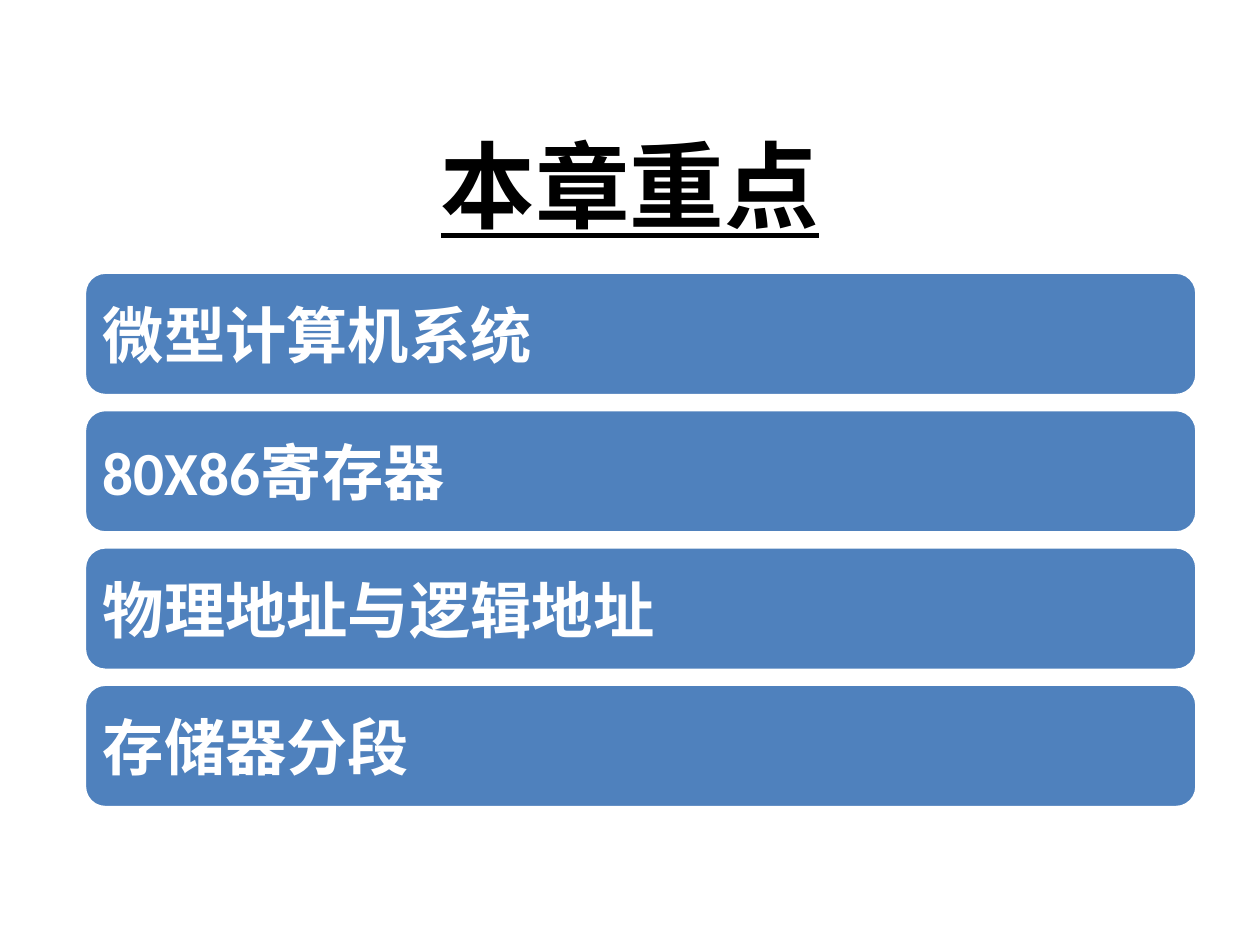
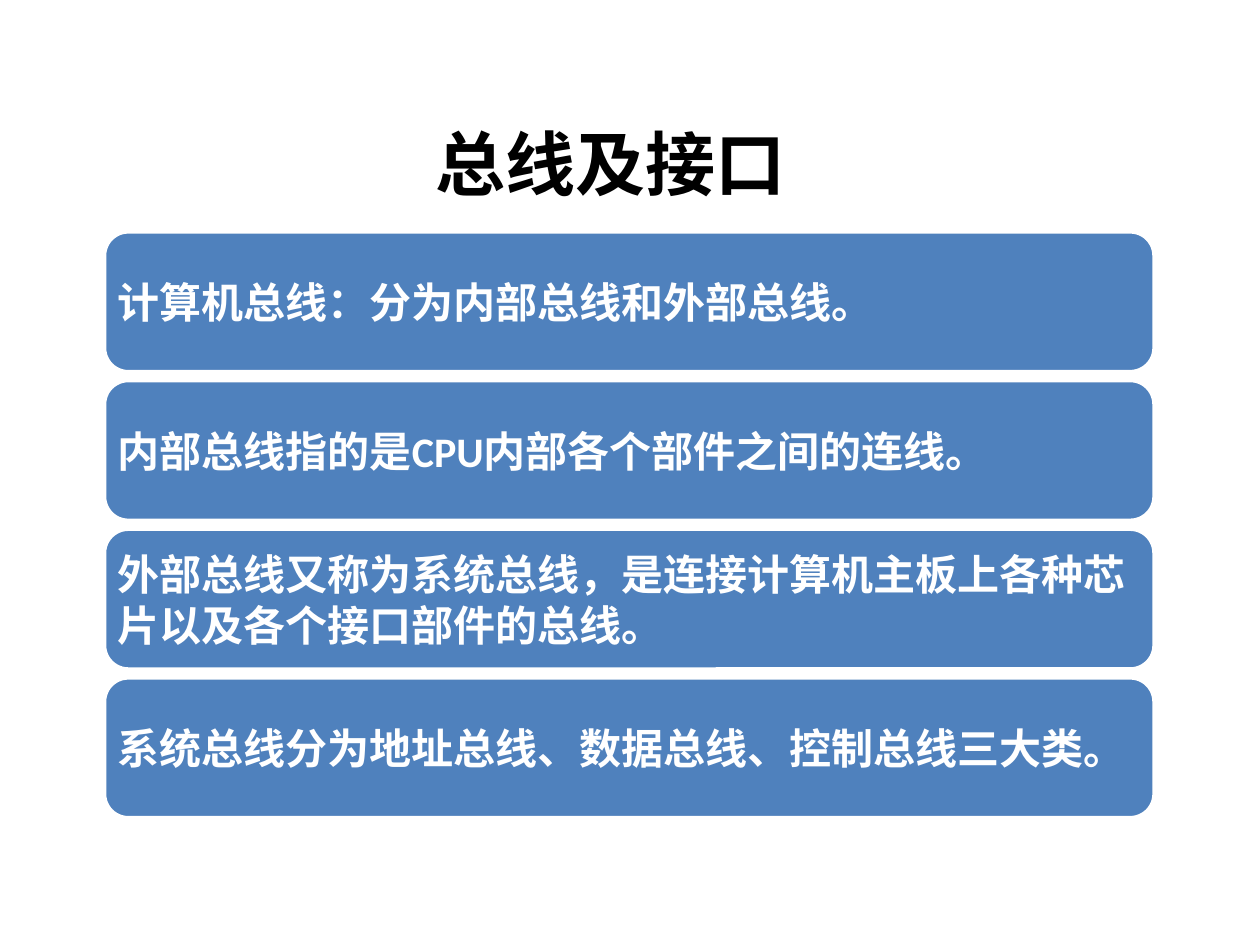
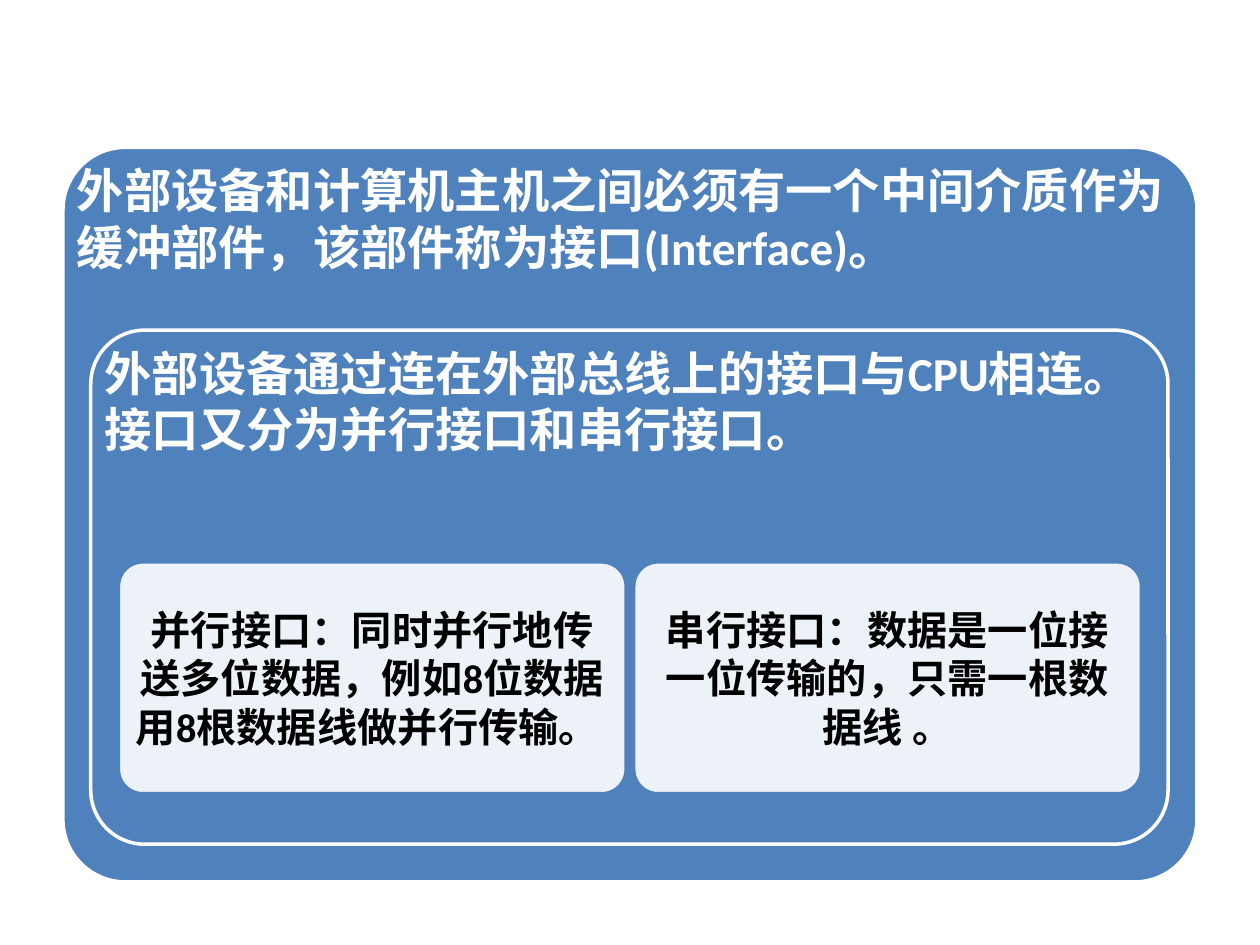
from dataclasses import dataclass

from lxml import etree
from pptx import Presentation
from pptx.dml.color import RGBColor
from pptx.enum.shapes import MSO_SHAPE
from pptx.enum.text import MSO_ANCHOR, PP_ALIGN
from pptx.oxml.ns import qn
from pptx.util import Inches, Pt

ROUNDED = MSO_SHAPE.ROUNDED_RECTANGLE
LEFT, CENTER = PP_ALIGN.LEFT, PP_ALIGN.CENTER
TOP, MIDDLE = MSO_ANCHOR.TOP, MSO_ANCHOR.MIDDLE
TITLE_ONLY, BLANK = 5, 6


@dataclass(frozen=True)
class Theme:
    blue: RGBColor = RGBColor(0x4F, 0x81, 0xBD)
    white: RGBColor = RGBColor(0xFF, 0xFF, 0xFF)
    black: RGBColor = RGBColor(0x00, 0x00, 0x00)
    font: str = "Calibri"
    outline: float = 2
    key_title: float = 54
    title: float = 40
    key_point: float = 35
    panel: float = 27
    statement: float = 24
    choice: float = 23


THEME = Theme()


def write_text(shape, text, size, color=THEME.white, align=LEFT, anchor=MIDDLE,
               margin=0.1, underline=None):
    frame = shape.text_frame
    frame.word_wrap = True
    frame.vertical_anchor = anchor
    frame.margin_left = frame.margin_right = Inches(margin)
    frame.margin_top = frame.margin_bottom = Inches(margin)
    paragraph = frame.paragraphs[0]
    paragraph.alignment = align
    run = paragraph.add_run()
    run.text = text
    run.font.name = THEME.font
    run.font.size = Pt(size)
    run.font.bold = True
    run.font.underline = underline
    run.font.color.rgb = color


def add_card(slide, box, fill=THEME.blue, line=THEME.white, corner=0.17):
    card = slide.shapes.add_shape(ROUNDED, *map(Inches, box))
    card.adjustments[0] = corner
    card.shadow.inherit = False
    card.fill.solid()
    card.fill.fore_color.rgb = fill
    card.line.color.rgb = line
    card.line.width = Pt(THEME.outline)
    return card


presentation = Presentation()
presentation.slide_width = Inches(10)
presentation.slide_height = Inches(7.5)

# Slides 1 and 2: a title above a stack of equal cards
card_slides = [
    dict(title="本章重点", title_box=(0.91, 0.83, 8.18, 1.25),
         title_size=THEME.key_title, underline=True,
         first_card=(0.67, 2.16, 8.83, 0.98), pitch=1.09,
         size=THEME.key_point, margin=0.1,
         cards=["微型计算机系统", "80X86寄存器", "物理地址与逻辑地址", "存储器分段"]),
    dict(title="总线及接口 ", title_box=(0.82, 0.83, 8.18, 0.92),
         title_size=THEME.title, underline=None,
         first_card=(0.83, 1.84, 8.33, 1.11), pitch=1.18,
         size=THEME.statement, margin=0.05,
         cards=["计算机总线：分为内部总线和外部总线。",
                "内部总线指的是CPU内部各个部件之间的连线。",
                "外部总线又称为系统总线，是连接计算机主板上各种芯片以及各个接口部件的总线。",
                "系统总线分为地址总线、数据总线、控制总线三大类。"]),
]
for content in card_slides:
    slide = presentation.slides.add_slide(presentation.slide_layouts[TITLE_ONLY])
    title = slide.shapes.title
    title.left, title.top, title.width, title.height = map(Inches, content["title_box"])
    write_text(title, content["title"], content["title_size"], color=THEME.black,
               align=CENTER, margin=0.05, underline=content["underline"])
    left, top, width, height = content["first_card"]
    for row, text in enumerate(content["cards"]):
        card = add_card(slide, (left, top + row * content["pitch"], width, height))
        write_text(card, text, content["size"], margin=content["margin"])

# Slide 3: nested panels holding the two kinds of interface
slide = presentation.slides.add_slide(presentation.slide_layouts[BLANK])
panels = [
    ((0.5, 1.17, 9, 5.83), 0.085,
     "外部设备和计算机主机之间必须有一个中间介质作为缓冲部件，该部件称为接口(Interface)。"),
    ((0.72, 2.62, 8.55, 4.08), 0.105,
     "外部设备通过连在外部总线上的接口与CPU相连。接口又分为并行接口和串行接口。"),
]
for box, corner, text in panels:
    add_card(slide, box, corner=corner)
    left, top, width, height = box
    caption = slide.shapes.add_textbox(*map(Inches, (left, top, width, 1.3)))
    write_text(caption, text, THEME.panel, anchor=TOP, margin=0.11)

interfaces = [
    "并行接口：同时并行地传送多位数据，例如8位数据用8根数据线做并行传输。 ",
    "串行接口：数据是一位接一位传输的，只需一根数据线 。",
]
for column, text in enumerate(interfaces):
    card = add_card(slide, (0.94 + column * 4.09, 4.46, 4.03, 1.84),
                    fill=THEME.white, line=THEME.blue, corner=0.105)
    fill_color = card.fill._xPr.find(qn("a:solidFill"))[0]
    etree.SubElement(fill_color, qn("a:alpha"), val="90000")
    write_text(card, text, THEME.choice, color=THEME.black, align=CENTER, margin=0.04)

presentation.save("out.pptx")
